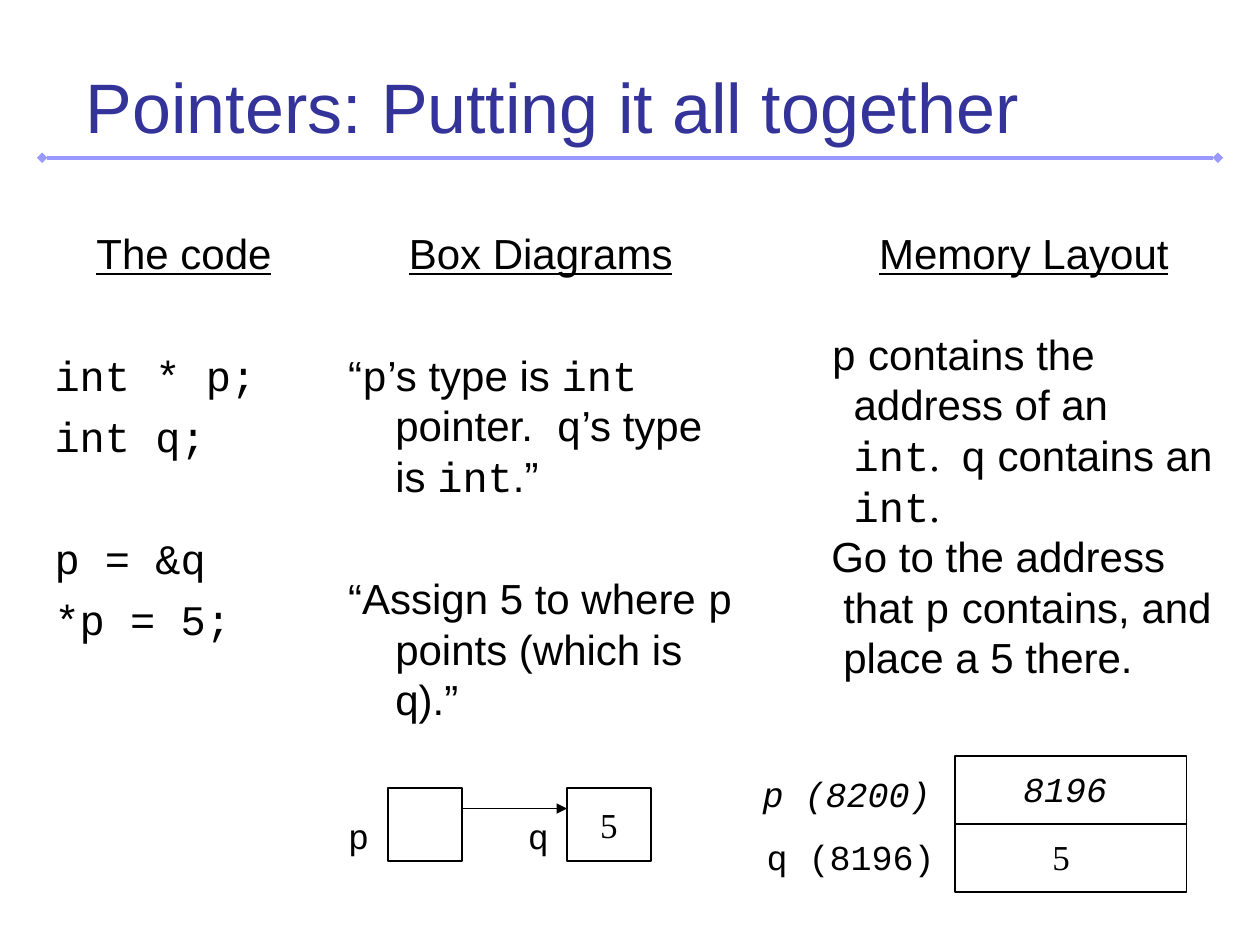
"""Build the slide that ties pointer code to box diagrams and memory layout."""
from dataclasses import dataclass
from typing import Optional

import pptx
import pptx.dml.color
import pptx.enum.shapes
import pptx.enum.text
import pptx.oxml
import pptx.oxml.ns
import pptx.util
from pptx.util import Cm, Pt

Align = pptx.enum.text.PP_ALIGN
Anchor = pptx.enum.text.MSO_ANCHOR


@dataclass(frozen=True)
class Theme:
    title_color: str = "333399"
    rule_color: str = "9999FF"
    ink: str = "000000"
    paper: str = "FFFFFF"
    sans: str = "Arial"
    code: str = "Courier New"
    serif: str = "Times New Roman"
    title_size: float = 40
    body_size: float = 24
    label_size: float = 20
    line_pitch: float = 28.9


THEME = Theme()


@dataclass(frozen=True)
class Frame:
    left: float
    top: float
    width: float
    height: float

    def lengths(self) -> tuple:
        return Cm(self.left), Cm(self.top), Cm(self.width), Cm(self.height)


@dataclass(frozen=True)
class Span:
    text: str
    font: str = THEME.sans


@dataclass(frozen=True)
class Passage:
    spans: tuple
    before: float = 0
    hanging: float = 0


@dataclass(frozen=True)
class Column:
    frame: Frame
    heading: str
    passages: tuple


@dataclass(frozen=True)
class Label:
    text: str
    frame: Frame
    font: str = THEME.code
    italic: bool = False


@dataclass(frozen=True)
class Rule:
    left: float
    right: float
    y: float
    color: str = THEME.ink
    weight: float = 1
    head: Optional[str] = None
    tail: Optional[str] = None


def rgb(color: str) -> pptx.dml.color.RGBColor:
    return pptx.dml.color.RGBColor.from_string(color)


def style_runs(paragraph, size: float, font: str, color: str = THEME.ink) -> None:
    for run in paragraph.runs:
        run.font.size = Pt(size)
        run.font.name = font
        run.font.color.rgb = rgb(color)


def add_text_frame(slide, frame: Frame, wrap: bool = True):
    text_frame = slide.shapes.add_textbox(*frame.lengths()).text_frame
    text_frame.word_wrap = wrap
    return text_frame


def draw_title(slide, title: str, frame: Frame) -> None:
    text_frame = add_text_frame(slide, frame)
    text_frame.vertical_anchor = Anchor.MIDDLE
    text_frame.text = title
    style_runs(text_frame.paragraphs[0], THEME.title_size, THEME.sans, THEME.title_color)


def write_passage(paragraph, passage: Passage) -> None:
    properties = paragraph._p.get_or_add_pPr()
    properties.set("marL", str(Cm(passage.hanging)))
    properties.set("indent", str(-Cm(passage.hanging)))
    paragraph.space_before = Pt(passage.before)
    paragraph.line_spacing = Pt(THEME.line_pitch)
    for span in passage.spans:
        for index, line in enumerate(span.text.split("\n")):
            if index:
                paragraph.add_line_break()
            if line:
                run = paragraph.add_run()
                run.text = line
                run.font.size = Pt(THEME.body_size)
                run.font.name = span.font
                run.font.color.rgb = rgb(THEME.ink)


def draw_column(slide, column: Column) -> None:
    text_frame = add_text_frame(slide, column.frame)
    heading = text_frame.paragraphs[0]
    write_passage(heading, Passage((Span(column.heading),)))
    heading.alignment = Align.CENTER
    heading.runs[0].font.underline = True
    for passage in column.passages:
        write_passage(text_frame.add_paragraph(), passage)


def draw_label(slide, label: Label) -> None:
    text_frame = add_text_frame(slide, label.frame, wrap=False)
    text_frame.text = label.text
    paragraph = text_frame.paragraphs[0]
    paragraph.alignment = Align.CENTER
    style_runs(paragraph, THEME.label_size, label.font)
    paragraph.runs[0].font.italic = label.italic


def draw_box(slide, frame: Frame, value: str = "") -> None:
    box = slide.shapes.add_shape(pptx.enum.shapes.MSO_SHAPE.RECTANGLE, *frame.lengths())
    box.shadow.inherit = False
    box.fill.solid()
    box.fill.fore_color.rgb = rgb(THEME.paper)
    box.line.color.rgb = rgb(THEME.ink)
    box.line.width = Pt(1)
    if value:
        box.text_frame.text = value
        box.text_frame.vertical_anchor = Anchor.MIDDLE
        box.text_frame.paragraphs[0].alignment = Align.CENTER
        style_runs(box.text_frame.paragraphs[0], THEME.label_size, THEME.serif)


def draw_rule(slide, rule: Rule) -> None:
    connector = slide.shapes.add_connector(
        pptx.enum.shapes.MSO_CONNECTOR.STRAIGHT,
        Cm(rule.left), Cm(rule.y), Cm(rule.right), Cm(rule.y))
    connector.line.color.rgb = rgb(rule.color)
    connector.line.width = Pt(rule.weight)
    outline = connector.line._get_or_add_ln()
    for tag, kind in (("a:headEnd", rule.head), ("a:tailEnd", rule.tail)):
        if kind:
            end = pptx.oxml.parse_xml(f"<{tag} {pptx.oxml.ns.nsdecls('a')}/>")
            end.set("type", kind)
            outline.append(end)
    effects = pptx.oxml.parse_xml(f"<a:effectLst {pptx.oxml.ns.nsdecls('a')}/>")
    connector._element.spPr.append(effects)


def main() -> None:
    presentation = pptx.Presentation()
    presentation.slide_width, presentation.slide_height = Cm(25.4), Cm(19.05)
    slide = presentation.slides.add_slide(presentation.slide_layouts[6])

    draw_rule(slide, Rule(0.85, 24.55, 3.18, THEME.rule_color, 2, "diamond", "diamond"))
    draw_title(slide, "Pointers: Putting it all together", Frame(1.48, 0.85, 22.44, 2.54))

    step, section = 6, 12 + THEME.line_pitch
    code_lines = (("int * p;", section), ("int q;", step), ("p = &q", section), ("*p = 5;", step))
    p, q, integer = (Span(name, THEME.code) for name in ("p", "q", "int"))
    columns = (
        Column(Frame(0.85, 4.45, 5.72, 8.89), "The code", tuple(
            Passage((Span(line, THEME.code),), gap, 0.95) for line, gap in code_lines)),
        Column(Frame(6.77, 4.45, 8.26, 10.37), "Box Diagrams", (
            Passage((Span("“"), p, Span("’s type is "), integer, Span(" pointer.  "), q,
                     Span("’s type is "), integer, Span(".”")), section, 0.95),
            Passage((Span("“Assign 5 to where "), p, Span(" points (which is q).”")),
                    section, 0.95))),
        Column(Frame(16.51, 4.45, 8.26, 11.43), "Memory Layout", (
            Passage((p, Span(" contains the\naddress of an\n"), integer,
                     Span(".  ", THEME.serif), q, Span(" contains an\n"), integer,
                     Span(".", THEME.serif)), THEME.line_pitch, 0.45),
            Passage((Span("Go to the address\nthat "), p,
                     Span(" contains, and\nplace a 5 there.")), 0, 0.24))),
    )
    for column in columns:
        draw_column(slide, column)

    draw_box(slide, Frame(7.83, 15.88, 1.48, 1.48))
    draw_box(slide, Frame(11.43, 15.88, 1.69, 1.48), "5")
    draw_rule(slide, Rule(9.31, 11.43, 16.3, tail="triangle"))
    draw_box(slide, Frame(19.26, 15.24, 4.66, 2.75))
    draw_rule(slide, Rule(19.26, 23.92, 16.61))

    labels = (
        Label("p", Frame(6.77, 16.3, 0.92, 1.12)),
        Label("q", Frame(10.39, 16.3, 0.92, 1.12)),
        Label("p (8200)", Frame(14.82, 15.45, 4.5, 1.12), italic=True),
        Label("8196", Frame(20.37, 15.35, 2.21, 1.12), italic=True),
        Label("q (8196)", Frame(14.82, 16.72, 4.66, 1.12)),
        Label("5", Frame(20.96, 16.72, 0.86, 1.12), THEME.serif),
    )
    for label in labels:
        draw_label(slide, label)
    presentation.save("out.pptx")


if __name__ == "__main__":
    main()
